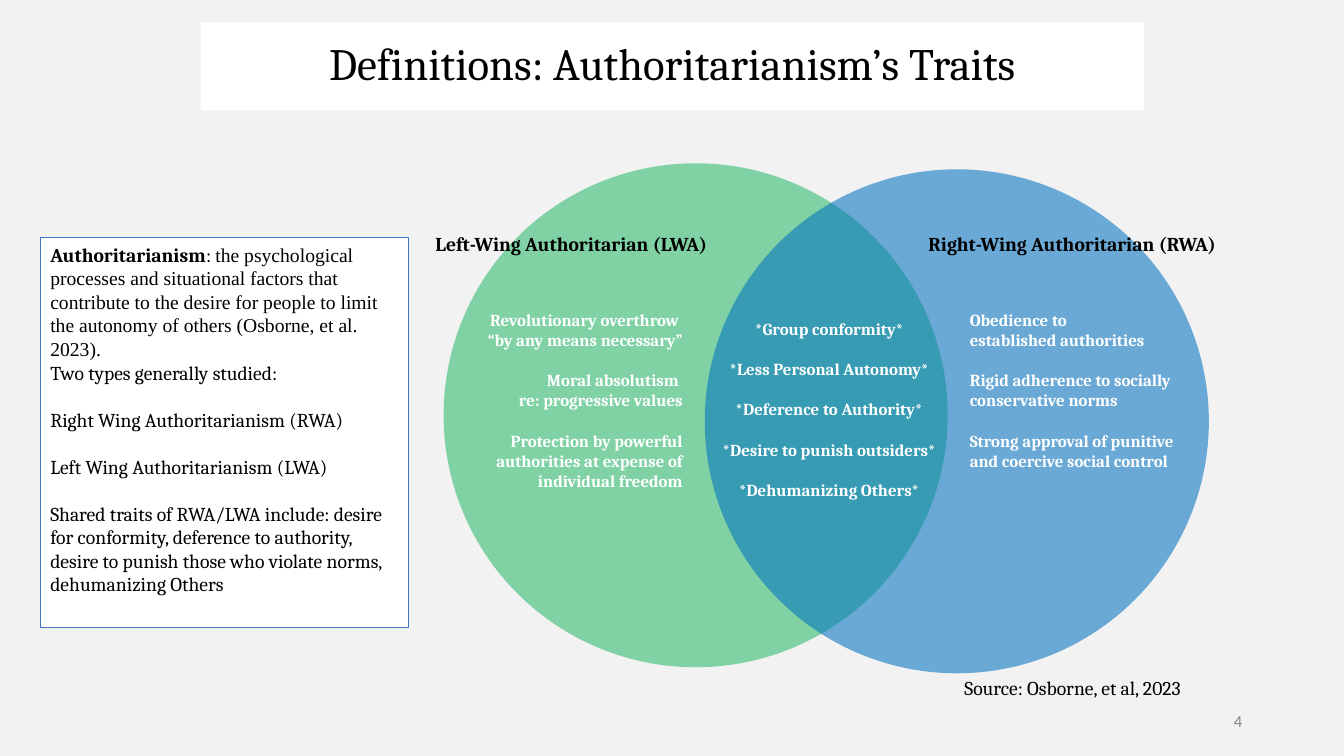
from lxml import etree
from pptx import Presentation
from pptx.dml.color import RGBColor
from pptx.enum import shapes, text
from pptx.oxml.ns import qn
from pptx.util import Inches, Pt

LEFT, CENTER, RIGHT = text.PP_ALIGN.LEFT, text.PP_ALIGN.CENTER, text.PP_ALIGN.RIGHT

DEFINITION = [
    [
        [
            ("Authoritarianism", "Cambria", True),
            (": ", "Cambria", False),
            ("the psychological processes and situational factors that contribute to the "
             "desire for people to limit the autonomy of others (Osborne, et al. 2023).",
             "Times New Roman", False),
        ],
        "Two types generally studied:",
    ],
    ["Right Wing Authoritarianism (RWA)"],
    ["Left Wing Authoritarianism (LWA)"],
    ["Shared traits of RWA/LWA include: desire for conformity, deference to authority, "
     "desire to punish those who violate norms, dehumanizing Others"],
]
LEFT_TRAITS = [
    ["Revolutionary overthrow ", "“by any means necessary”"],
    ["Moral absolutism ", "re: progressive values"],
    ["Protection by powerful authorities at expense of individual freedom"],
]
SHARED_TRAITS = [
    ["*Group conformity*"],
    ["*Less Personal Autonomy*"],
    ["*Deference to Authority*"],
    ["*Desire to punish outsiders*"],
    ["*Dehumanizing Others*"],
]
RIGHT_TRAITS = [
    ["Obedience to", "established authorities"],
    ["Rigid adherence to socially conservative norms"],
    ["Strong approval of punitive and coercive social control"],
]


def color(value):
    return RGBColor.from_string(value)


def add_panel(slide, kind, left, top, width, height, fill, line=None, opacity=None):
    shape = slide.shapes.add_shape(
        kind, Inches(left), Inches(top), Inches(width), Inches(height))
    shape.shadow.inherit = False
    shape.fill.solid()
    shape.fill.fore_color.rgb = color(fill)
    if line:
        shape.line.color.rgb = color(line)
        shape.line.width = Pt(0.75)
    else:
        shape.line.fill.background()
    if opacity:
        fill_color = shape._element.spPr.find(qn("a:solidFill")).find(qn("a:srgbClr"))
        etree.SubElement(fill_color, qn("a:alpha")).set("val", str(opacity * 1000))
    return shape


def add_text_box(slide, left, top, width, height):
    return slide.shapes.add_textbox(
        Inches(left), Inches(top), Inches(width), Inches(height))


def write(shape, groups, size=14, font="Cambria", ink="000000", bold=False, align=LEFT,
          anchor=text.MSO_ANCHOR.TOP, wrap=True, line_spacing=None, indent=0):
    frame = shape.text_frame
    frame.word_wrap = wrap
    frame.vertical_anchor = anchor
    paragraph = None
    for group in groups:
        for index, line in enumerate(group):
            is_first = paragraph is None
            paragraph = frame.paragraphs[0] if is_first else frame.add_paragraph()
            paragraph.alignment = align
            if line_spacing:
                paragraph.line_spacing = line_spacing
            if index == 0 and not is_first:
                paragraph.space_before = Pt(size * 1.2)
            if indent:
                paragraph._p.get_or_add_pPr().set("marL", str(Inches(indent)))
            pieces = [(line, font, bold)] if isinstance(line, str) else line
            for words, run_font, run_bold in pieces:
                run = paragraph.add_run()
                run.text = words
                run.font.name = run_font
                run.font.size = Pt(size)
                run.font.bold = run_bold
                run.font.color.rgb = color(ink)


def main():
    presentation = Presentation()
    presentation.slide_width = Inches(13.33)
    presentation.slide_height = Inches(7.5)
    slide = presentation.slides.add_slide(presentation.slide_layouts[6])
    slide.background.fill.solid()
    slide.background.fill.fore_color.rgb = color("F2F2F2")

    rectangle = shapes.MSO_SHAPE.RECTANGLE
    circle = shapes.MSO_SHAPE.FLOWCHART_CONNECTOR
    middle = text.MSO_ANCHOR.MIDDLE

    title = add_panel(slide, rectangle, 1.99, 0.22, 9.36, 0.87, "FFFFFF")
    write(title, [["Definitions: Authoritarianism’s Traits"]], size=32, align=CENTER,
          anchor=middle, line_spacing=0.9)
    definition = add_panel(slide, rectangle, 0.4, 2.36, 3.65, 3.87, "FFFFFF", line="4472C4")
    write(definition, DEFINITION)

    add_panel(slide, circle, 4.4, 1.62, 5, 5, "00B050", opacity=47)
    add_panel(slide, circle, 6.99, 1.68, 5, 5, "0070C0", opacity=56)

    for left, width, heading in [(4.22, 3.02, "Left-Wing Authoritarian (LWA)"),
                                 (9.11, 3.17, "Right-Wing Authoritarian (RWA)")]:
        write(add_text_box(slide, left, 2.25, width, 0.34), [[heading]],
              bold=True, wrap=False)

    for left, top, width, height, traits, align, wrap in [
        (7.03, 3.11, 2.39, 1.92, SHARED_TRAITS, CENTER, False),
        (4.69, 3.02, 2.18, 2.12, LEFT_TRAITS, RIGHT, True),
        (9.52, 3.02, 2.45, 1.92, RIGHT_TRAITS, LEFT, True),
    ]:
        write(add_text_box(slide, left, top, width, height), traits, size=12,
              ink="FFFFFF", bold=True, align=align, wrap=wrap)

    write(add_text_box(slide, 9.42, 6.95, 3, 0.4), [["4"]], size=12, font="Calibri",
          ink="888888", align=RIGHT, anchor=middle)
    write(add_text_box(slide, 8.31, 6.68, 3.66, 0.31), [["Source: Osborne, et al, 2023"]],
          align=CENTER, line_spacing=0.9, indent=1)

    presentation.save("out.pptx")


if __name__ == "__main__":
    main()
